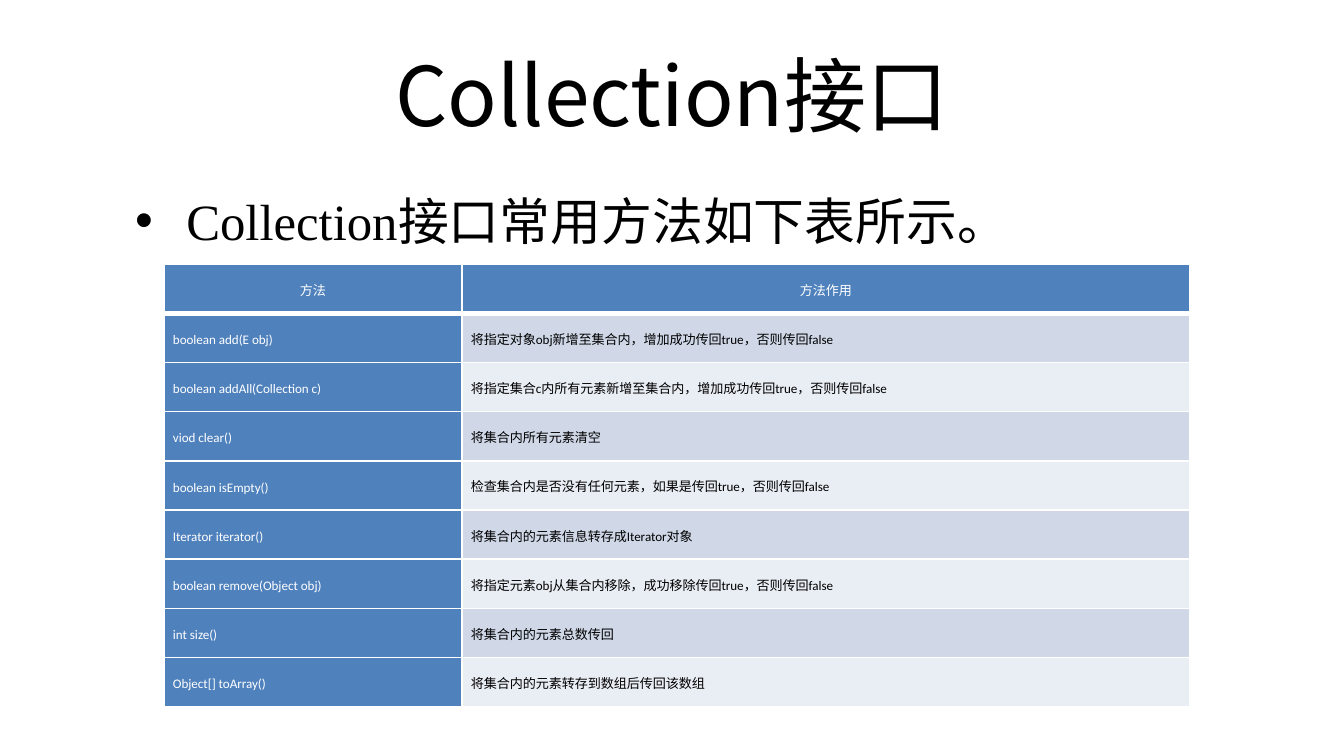
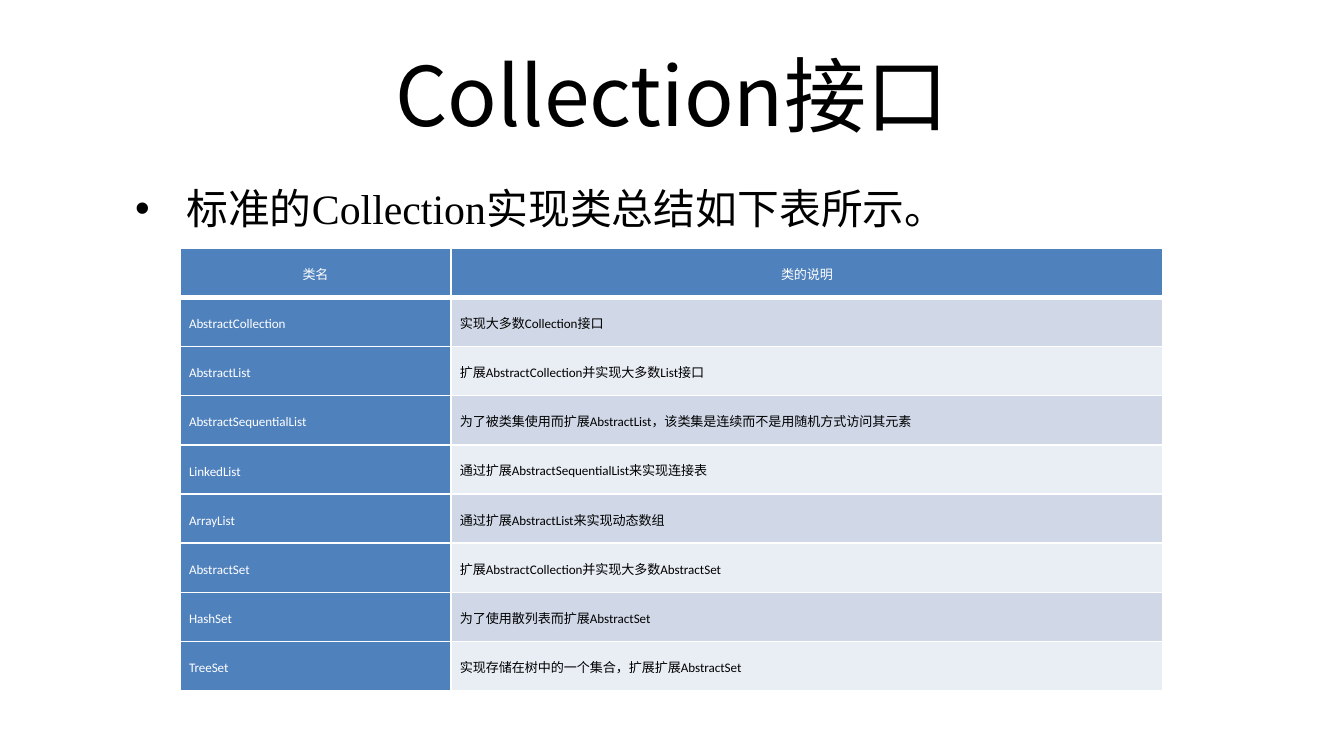
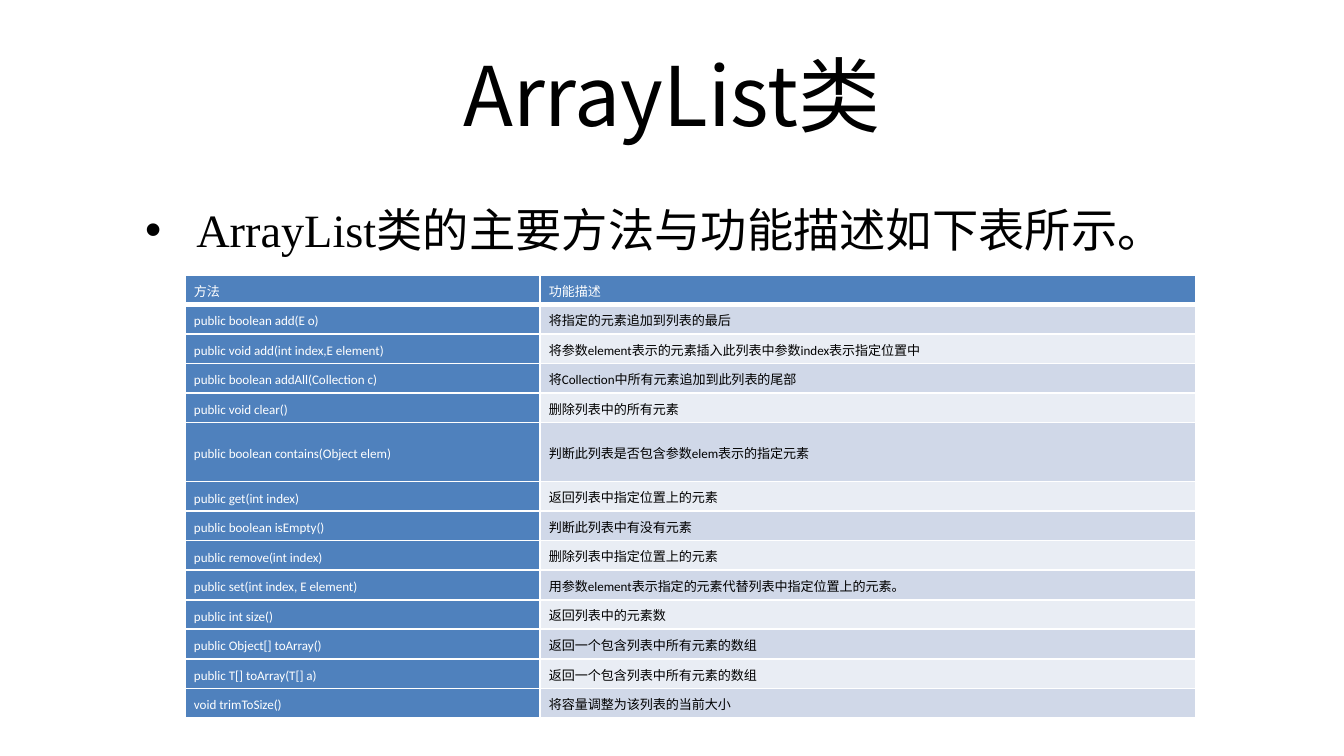
from lxml import etree
from pptx import Presentation
from pptx.dml.color import RGBColor
from pptx.enum.text import MSO_ANCHOR, PP_ALIGN
from pptx.oxml.ns import qn
from pptx.util import Pt

EMU_PER_PX = 914400 / 134.4
CENTER, LEFT, MIDDLE = PP_ALIGN.CENTER, PP_ALIGN.LEFT, MSO_ANCHOR.MIDDLE
TITLE_ONLY_LAYOUT = 5

COLORS = {
    "text": "000000",
    "white": "FFFFFF",
    "accent": "4F81BD",
    "odd_row": "D0D8E8",
    "even_row": "E9EDF4",
}
CJK_FONT = "Noto Sans CJK SC"
TITLE_BOX = (67, 31, 1210, 126)
LEAD_WIDTH = 1089
BULLET_INDENT = 51
TABLE_HEIGHT = 443
CELL_MARGIN = 9

COLLECTION_METHODS = [
    ("方法", "方法作用"),
    ("boolean add(E obj)", "将指定对象obj新增至集合内，增加成功传回true，否则传回false"),
    ("boolean addAll(Collection c)", "将指定集合c内所有元素新增至集合内，增加成功传回true，否则传回false"),
    ("viod clear()", "将集合内所有元素清空"),
    ("boolean isEmpty()", "检查集合内是否没有任何元素，如果是传回true，否则传回false"),
    ("Iterator iterator()", "将集合内的元素信息转存成Iterator对象"),
    ("boolean remove(Object obj)", "将指定元素obj从集合内移除，成功移除传回true，否则传回false"),
    ("int size()", "将集合内的元素总数传回"),
    ("Object[] toArray()", "将集合内的元素转存到数组后传回该数组"),
]
COLLECTION_CLASSES = [
    ("类名", "类的说明"),
    ("AbstractCollection", "实现大多数Collection接口"),
    ("AbstractList", "扩展AbstractCollection并实现大多数List接口"),
    ("AbstractSequentialList", "为了被类集使用而扩展AbstractList，该类集是连续而不是用随机方式访问其元素"),
    ("LinkedList", "通过扩展AbstractSequentialList来实现连接表"),
    ("ArrayList", "通过扩展AbstractList来实现动态数组"),
    ("AbstractSet", "扩展AbstractCollection并实现大多数AbstractSet"),
    ("HashSet", "为了使用散列表而扩展AbstractSet"),
    ("TreeSet", "实现存储在树中的一个集合，扩展扩展AbstractSet"),
]
ARRAYLIST_METHODS = [
    ("方法", "功能描述"),
    ("public boolean add(E o)", "将指定的元素追加到列表的最后"),
    ("public void add(int index,E element)", "将参数element表示的元素插入此列表中参数index表示指定位置中"),
    ("public boolean addAll(Collection c)", "将Collection中所有元素追加到此列表的尾部"),
    ("public void clear()", "删除列表中的所有元素"),
    ("public boolean contains(Object elem)", "判断此列表是否包含参数elem表示的指定元素"),
    ("public get(int index)", "返回列表中指定位置上的元素"),
    ("public boolean isEmpty()", "判断此列表中有没有元素"),
    ("public remove(int index)", "删除列表中指定位置上的元素"),
    ("public set(int index, E element)", "用参数element表示指定的元素代替列表中指定位置上的元素。"),
    ("public int size()", "返回列表中的元素数"),
    ("public Object[] toArray()", "返回一个包含列表中所有元素的数组"),
    ("public T[] toArray(T[] a)", "返回一个包含列表中所有元素的数组"),
    ("void trimToSize()", "将容量调整为该列表的当前大小"),
]


def px(length):
    return round(length * EMU_PER_PX)


def rgb(name):
    return RGBColor.from_string(COLORS[name])


def style_paragraph(paragraph, font_name, size, color, align):
    paragraph.alignment = align
    font = paragraph.font
    font.name, font.size, font.bold = font_name, Pt(size), False
    font.color.rgb = rgb(color)
    properties = paragraph._p.pPr.find(qn("a:defRPr"))
    etree.SubElement(properties, qn("a:ea"), typeface=CJK_FONT)


def add_titled_slide(deck, heading):
    slide = deck.slides.add_slide(deck.slide_layouts[TITLE_ONLY_LAYOUT])
    title = slide.shapes.title
    title.left, title.top, title.width, title.height = map(px, TITLE_BOX)
    title.text_frame.text = heading
    title.text_frame.vertical_anchor = MIDDLE
    style_paragraph(title.text_frame.paragraphs[0], CJK_FONT, 44, "text", CENTER)
    return slide


def add_lead(slide, sentence, left, top, height, size):
    """Add the bulleted sentence that introduces the table."""
    lead = slide.shapes.add_textbox(px(left), px(top), px(LEAD_WIDTH), px(height))
    lead.text_frame.word_wrap = True
    paragraph = lead.text_frame.paragraphs[0]
    paragraph.text = sentence
    paragraph.space_before = Pt(round(size * 0.2, 1))
    style_paragraph(paragraph, "Times New Roman", size, "text", LEFT)
    properties = paragraph._p.pPr
    properties.set("marL", str(px(BULLET_INDENT)))
    properties.set("indent", str(-px(BULLET_INDENT)))
    bullet_font = etree.Element(qn("a:buFont"), typeface="Arial")
    bullet = etree.Element(qn("a:buChar"), char="•")
    run_defaults = properties.find(qn("a:defRPr"))
    run_defaults.addprevious(bullet_font)
    run_defaults.addprevious(bullet)


def set_borders(cell, bottom_points):
    widths = {"lnL": 1, "lnR": 1, "lnT": 1, "lnB": bottom_points}
    properties = cell._tc.get_or_add_tcPr()
    for position, (edge, points) in enumerate(widths.items()):
        line = etree.Element(qn(f"a:{edge}"), w=str(Pt(points)))
        fill = etree.SubElement(line, qn("a:solidFill"))
        etree.SubElement(fill, qn("a:srgbClr"), val=COLORS["white"])
        properties.insert(position, line)


def fill_cell(cell, text, fill, color, align, bottom_points):
    cell.margin_left = cell.margin_right = px(CELL_MARGIN)
    cell.margin_top = cell.margin_bottom = 0
    cell.vertical_anchor = MIDDLE
    cell.fill.solid()
    cell.fill.fore_color.rgb = rgb(fill)
    set_borders(cell, bottom_points)
    paragraph = cell.text_frame.paragraphs[0]
    paragraph.text = text
    paragraph.line_spacing = Pt(11)
    style_paragraph(paragraph, "Calibri", 7, color, align)


def add_reference_table(slide, entries, left, top, column_widths,
                        header_align=CENTER, double_row=None):
    """Add a name/description table; double_row is twice as high as the others."""
    frame = slide.shapes.add_table(len(entries), 2, px(left), px(top),
                                   px(sum(column_widths)), px(TABLE_HEIGHT))
    table = frame.table
    table.horz_banding = False
    for column, width in zip(table.columns, column_widths):
        column.width = px(width)
    shares = [2 if index == double_row else 1 for index in range(len(entries))]
    for index, (entry, share) in enumerate(zip(entries, shares)):
        table.rows[index].height = px(TABLE_HEIGHT * share / sum(shares))
        is_header = index == 0
        band = "odd_row" if index % 2 else "even_row"
        for column, text in enumerate(entry):
            on_accent = is_header or column == 0
            fill_cell(table.cell(index, column), text,
                      fill="accent" if on_accent else band,
                      color="white" if on_accent else "text",
                      align=header_align if is_header else LEFT,
                      bottom_points=3 if is_header else 1)


def main():
    deck = Presentation()
    deck.slide_width, deck.slide_height = px(1344), px(756)

    slide = add_titled_slide(deck, "Collection接口")
    add_lead(slide, "Collection接口常用方法如下表所示。", 122, 183, 66, 27.2)
    add_reference_table(slide, COLLECTION_METHODS, 164, 264, (298, 728))

    slide = add_titled_slide(deck, "Collection接口")
    add_lead(slide, "标准的Collection实现类总结如下表所示。", 122, 176, 58, 22.4)
    add_reference_table(slide, COLLECTION_CLASSES, 180, 248, (271, 712))

    slide = add_titled_slide(deck, "ArrayList类")
    add_lead(slide, "ArrayList类的主要方法与功能描述如下表所示。", 132, 195, 60, 24.8)
    add_reference_table(slide, ARRAYLIST_METHODS, 185, 275, (355, 656),
                        header_align=LEFT, double_row=5)

    deck.save("out.pptx")


if __name__ == "__main__":
    main()
